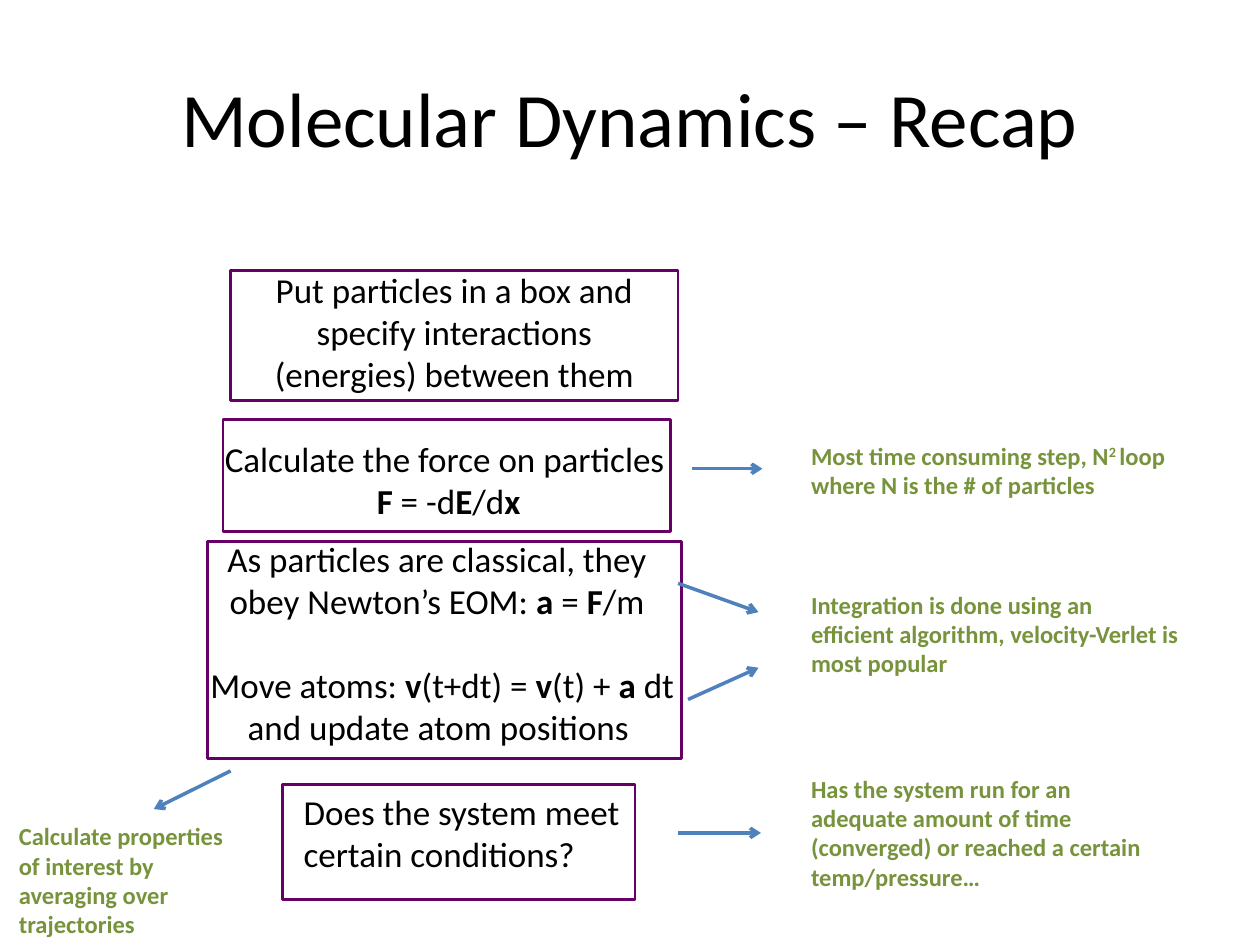
from pptx import Presentation
from pptx.dml.color import RGBColor
from pptx.enum.shapes import MSO_CONNECTOR, MSO_SHAPE
from pptx.enum.text import MSO_ANCHOR, PP_ALIGN
from pptx.oxml.ns import qn
from pptx.util import Cm, Pt
from lxml import etree

RECT, LINE = MSO_SHAPE.RECTANGLE, MSO_CONNECTOR.STRAIGHT
LEFT, CENTER, MIDDLE = PP_ALIGN.LEFT, PP_ALIGN.CENTER, MSO_ANCHOR.MIDDLE
FONT = "Calibri"
COLORS = {"text": "000000", "note": "77933C", "arrow": "4F81BD", "frame": "660066"}

# Each step: frame box, then texts as (offset box, align, wrap, paragraphs).
# A paragraph is a list of (text, style) runs; "b" is bold, "sup" is raised.
STEPS = [
    ((4.65, 5.46, 9.02, 2.62), [
        ((0, -0.18, 9.02, 2.82), CENTER, True, [
            [("Put particles in a box and specify interactions (energies) between them", "")]])]),
    ((4.5, 8.46, 9.02, 2.26), [
        ((-0.54, 0.23, 10.01, 1.96), CENTER, True, [
            [("Calculate the force on particles", "")],
            [(" ", ""), ("F", "b"), (" = -d", ""), ("E", "b"), ("/d", ""), ("x", "b")]])]),
    ((4.19, 10.92, 9.55, 4.37), [
        ((-0.51, -0.2, 10.26, 1.96), CENTER, True, [
            [("As particles are classical, they obey Newton’s EOM: ", ""),
             ("a", "b"), (" = ", ""), ("F", "b"), ("/m", "")]]),
        ((-0.23, 2.34, 9.91, 1.96), CENTER, False, [
            [("Move atoms: ", ""), ("v", "b"), ("(t+dt) = ", ""), ("v", "b"),
             ("(t) + ", ""), ("a ", "b"), ("dt", "")],
            [("and update atom positions ", "")]])]),
    ((5.69, 15.82, 7.11, 2.31), [
        ((0.18, 0, 7.77, 1.96), LEFT, True, [
            [("Does the system meet certain conditions?", "")]])]),
]

NOTE_X = 16.1
NOTES = [
    ((NOTE_X, 8.76, 8.66, 1.45), [
        ("Most time consuming step, N", "b"), ("2 ", "b sup"),
        ("loop where N is the # of particles", "b")]),
    ((NOTE_X, 11.76, 7.92, 2.06), [
        ("Integration is done using an efficient algorithm, velocity-Verlet is most popular", "b")]),
    ((NOTE_X, 15.47, 7.39, 2.64), [
        ("Has the system run for an adequate amount of time (converged) "
         "or reached a certain temp/pressure…", "b")]),
    ((0.13, 16.43, 4.9, 2.64), [
        ("Calculate properties of interest by averaging over trajectories", "b")]),
]

ARROWS = [
    (13.94, 9.45, 15.37, 9.45),
    (13.67, 11.76, 15.29, 12.34),
    (13.87, 14.1, 15.29, 13.46),
    (13.67, 16.79, 15.34, 16.79),
    (4.65, 15.54, 3.1, 16.31),
]


def lengths(box):
    return [Cm(v) for v in box]


def color(name):
    return RGBColor.from_string(COLORS[name])


def add_run(para, text, style, size, tone):
    run = para.add_run()
    run.text = text
    font = run.font
    font.name, font.size, font.bold = FONT, Pt(size), "b" in style.split()
    font.color.rgb = color(tone)
    if "sup" in style:
        font._element.set("baseline", "30000")


def add_text(slide, box, paras, size, tone, align=LEFT, wrap=True):
    frame = slide.shapes.add_textbox(*lengths(box)).text_frame
    frame.word_wrap = wrap
    for i, runs in enumerate(paras):
        para = frame.add_paragraph() if i else frame.paragraphs[0]
        para.alignment = align
        for text, style in runs:
            add_run(para, text, style, size, tone)


def add_title(slide, box, text):
    title = slide.shapes.title
    title.left, title.top, title.width, title.height = lengths(box)
    title.text_frame.vertical_anchor = MIDDLE
    para = title.text_frame.paragraphs[0]
    para.alignment = CENTER
    add_run(para, text, "", 44, "text")


def add_step(slide, box, texts):
    rect = slide.shapes.add_shape(RECT, *lengths(box))
    rect.shadow.inherit = False
    rect.fill.background()
    rect.line.color.rgb = color("frame")
    rect.line.width = Pt(1.5)
    for (dx, dy, w, h), align, wrap, paras in texts:
        place = (box[0] + dx, box[1] + dy, w, h)
        add_text(slide, place, paras, 20, "text", align, wrap)


def add_arrow(slide, ends):
    arrow = slide.shapes.add_connector(LINE, *lengths(ends))
    arrow.line.color.rgb = color("arrow")
    arrow.line.width = Pt(2)
    etree.SubElement(arrow.line._get_or_add_ln(), qn("a:tailEnd"), type="arrow")
    etree.SubElement(arrow._element.spPr, qn("a:effectLst"))


def main():
    prs = Presentation()
    prs.slide_width, prs.slide_height = Cm(25.4), Cm(19.05)
    slide = prs.slides.add_slide(prs.slide_layouts[5])

    add_title(slide, (1.27, 0.76, 22.86, 3.18), "Molecular Dynamics – Recap")
    # Flow of steps
    for box, texts in STEPS:
        add_step(slide, box, texts)
    # Side notes and the arrows to them
    for box, runs in NOTES:
        add_text(slide, box, [runs], 14, "note")
    for ends in ARROWS:
        add_arrow(slide, ends)

    prs.save("out.pptx")


if __name__ == "__main__":
    main()
